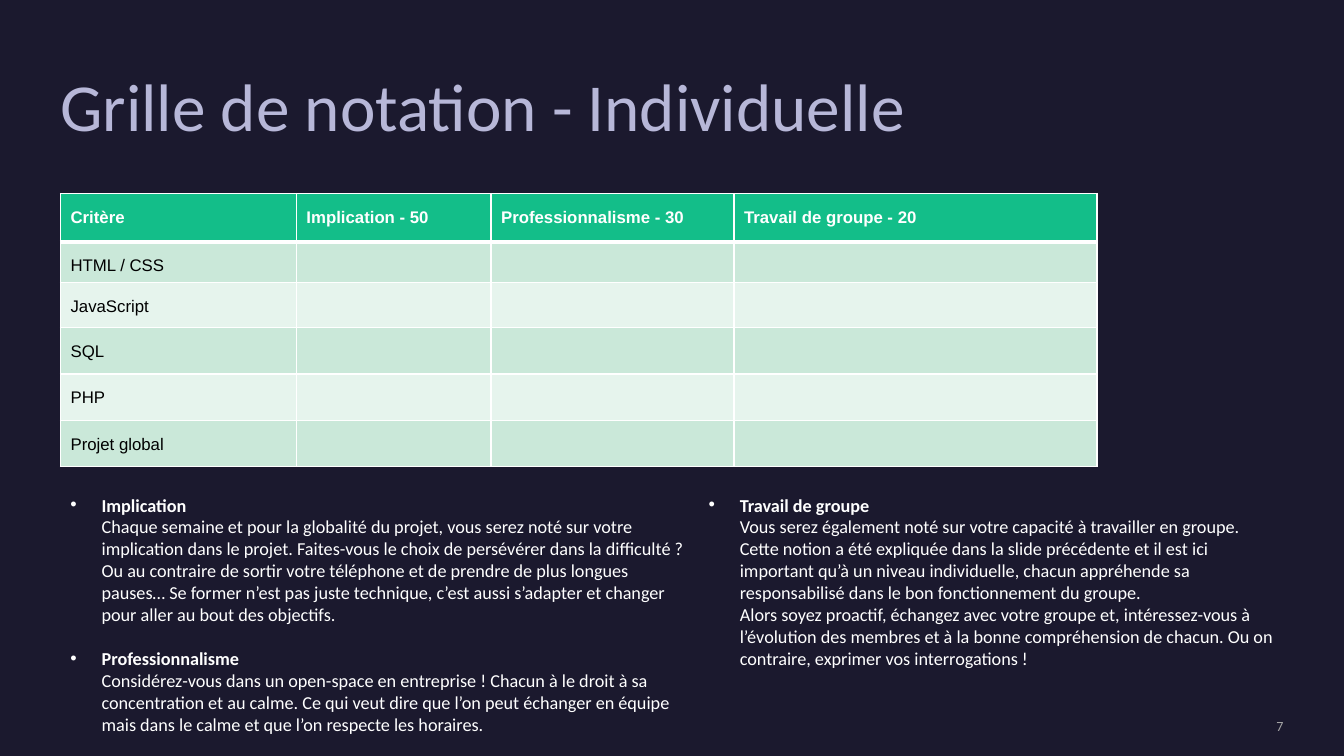
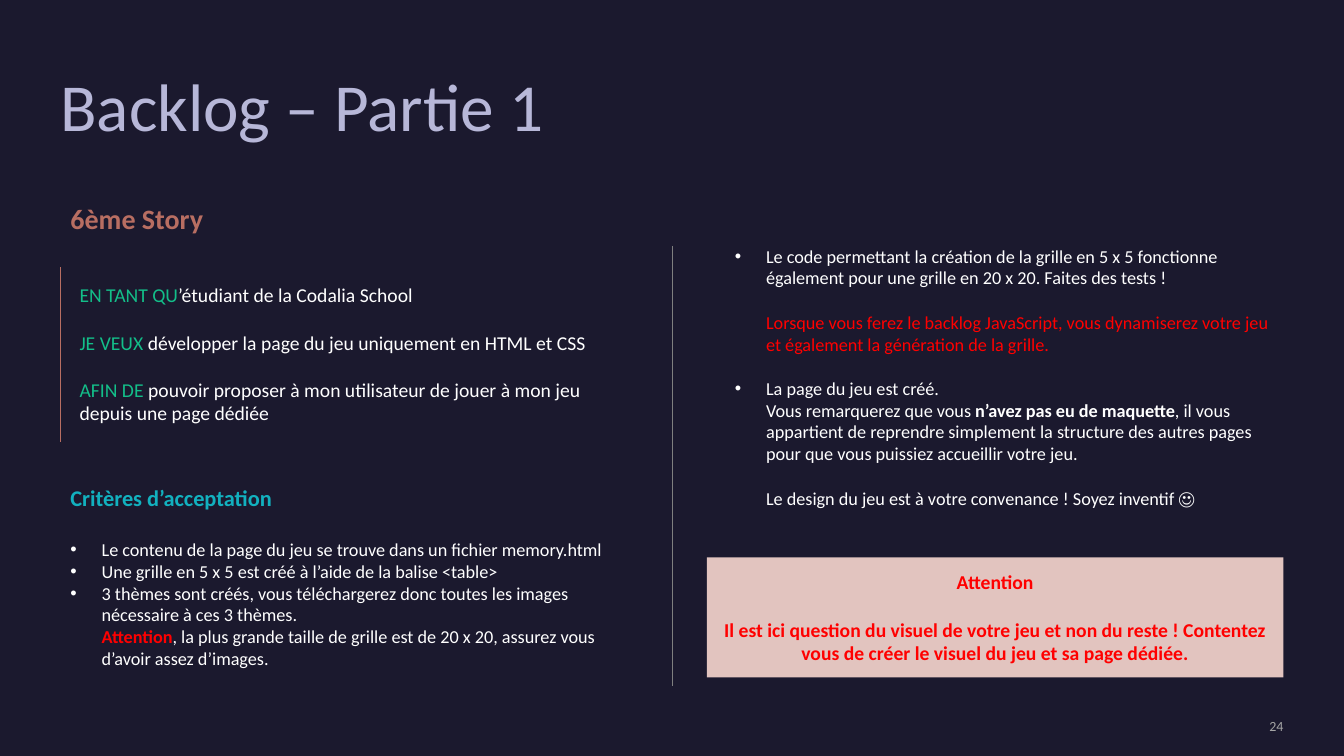
from lxml import etree
from pptx import Presentation
from pptx.dml.color import RGBColor
from pptx.enum.shapes import MSO_CONNECTOR, MSO_SHAPE
from pptx.enum.text import MSO_ANCHOR, PP_ALIGN
from pptx.oxml import parse_xml
from pptx.oxml.ns import nsdecls, qn
from pptx.util import Inches, Pt

HEX = {
    "night": "1B192E", "lilac": "B7B7D8", "gray": "A5A5A5", "rule": "7F7F7F",
    "white": "FFFFFF", "black": "000000", "green": "13BE89", "mint": "CAE8D9",
    "pale": "E6F4ED", "clay": "B86E62", "teal": "12B1BF", "red": "FF0000",
    "rose": "E2C4BF",
}
RGB = {name: RGBColor.from_string(code) for name, code in HEX.items()}
FONT = "Calibri"
HANG = 0.31


def add_box(slide, left, top, width, height, pad=True):
    """Add a wrapping text box and return its frame."""
    frame = slide.shapes.add_textbox(
        Inches(left), Inches(top), Inches(width), Inches(height)).text_frame
    frame.word_wrap = True
    if not pad:
        frame.margin_left = frame.margin_right = 0
        frame.margin_top = frame.margin_bottom = 0
    return frame


def write(frame, size, paras, align=PP_ALIGN.LEFT, font=FONT):
    """Each paragraph is (kind, space before, runs); a run is (text, colour, bold)."""
    for i, (kind, gap, runs) in enumerate(paras):
        para = frame.add_paragraph() if i else frame.paragraphs[0]
        para.alignment = align
        if gap:
            para.space_before = Pt(gap)
        if kind != "plain":
            props = para._p.get_or_add_pPr()
            props.set("marL", str(Inches(HANG)))
            props.set("indent", str(Inches(-HANG if kind == "bullet" else 0)))
        if kind == "bullet":
            for mark in (f'<a:buClr {nsdecls("a")}><a:srgbClr val="{HEX["white"]}"/></a:buClr>',
                         f'<a:buFont {nsdecls("a")} typeface="Arial"/>',
                         f'<a:buChar {nsdecls("a")} char="•"/>'):
                props.append(parse_xml(mark))
        for text, tint, bold in runs:
            run = para.add_run()
            run.text = text
            run.font.name = font
            run.font.size = Pt(size)
            run.font.bold = bold
            run.font.color.rgb = RGB[tint]


prs = Presentation()
prs.slide_width = Inches(13.33)
prs.slide_height = Inches(7.5)

# Shared background, title and page number
back = prs.slide_master.background.fill
back.solid()
back.fore_color.rgb = RGB["night"]
slides = []
for title, page in (("Grille de notation - Individuelle", "7"),
                    ("Backlog – Partie 1", "24")):
    slide = prs.slides.add_slide(prs.slide_layouts[6])
    head = add_box(slide, 0.6, 0.73, 9.84, 1, pad=False)
    write(head, 48, [("plain", 0, [(title, "lilac", False)])])
    head.paragraphs[0].line_spacing = 0.9
    foot = add_box(slide, 10.88, 7.12, 1.85, 0.17, pad=False)
    foot.vertical_anchor = MSO_ANCHOR.MIDDLE
    write(foot, 10, [("plain", 0, [(page, "gray", False)])], PP_ALIGN.RIGHT)
    slides.append(slide)
grid, story = slides

# Grading table
heads = ["Critère", "Implication - 50", "Professionnalisme - 30", "Travail de groupe - 20"]
topics = ["HTML / CSS", "JavaScript", "SQL", "PHP", "Projet global"]
widths = [2.34, 1.93, 2.41, 3.6]
heights = [0.48, 0.4, 0.45, 0.46, 0.46, 0.46]
rows = [heads] + [[topic, "", "", ""] for topic in topics]
table = grid.shapes.add_table(
    len(rows), len(heads), Inches(0.6), Inches(1.92),
    Inches(sum(widths)), Inches(sum(heights))).table
for col, width in zip(table.columns, widths):
    col.width = Inches(width)
for r, row in enumerate(rows):
    table.rows[r].height = Inches(heights[r])
    for c, text in enumerate(row):
        cell = table.cell(r, c)
        props = cell._tc.get_or_add_tcPr()
        for side in "LRTB":
            thick = (r, side) in ((0, "B"), (1, "T"))
            edge = etree.SubElement(props, qn(f"a:ln{side}"), w=str(Pt(3 if thick else 1)))
            paint = etree.SubElement(edge, qn("a:solidFill"))
            etree.SubElement(paint, qn("a:srgbClr"), val=HEX["white"])
        cell.fill.solid()
        cell.fill.fore_color.rgb = RGB["green" if r == 0 else "mint" if r % 2 else "pale"]
        if text:
            tint = "black" if r else "white"
            write(cell.text_frame, 12, [("plain", 0, [(text, tint, r == 0)])], font="Arial")
            cell.text_frame.paragraphs[0].line_spacing = 1.5

# Criteria explained under the table
write(add_box(grid, 0.6, 4.85, 6.33, 2.5), 13, [
    ("bullet", 0, [("Implication", "white", True)]),
    ("hang", 0, [("Chaque semaine et pour la globalité du projet, vous serez noté sur votre "
                  "implication dans le projet. Faites-vous le choix de persévérer dans la "
                  "difficulté ? Ou au contraire de sortir votre téléphone et de prendre de plus "
                  "longues pauses… Se former n’est pas juste technique, c’est aussi s’adapter et "
                  "changer pour aller au bout des objectifs.", "white", False)]),
    ("bullet", 16, [("Professionnalisme", "white", True)]),
    ("hang", 0, [("Considérez-vous dans un open-space en entreprise ! Chacun à le droit à sa "
                  "concentration et au calme. Ce qui veut dire que l’on peut échanger en équipe "
                  "mais dans le calme et que l’on respecte les horaires.", "white", False)]),
])
write(add_box(grid, 6.93, 4.85, 5.8, 2.07), 13, [
    ("bullet", 0, [("Travail de groupe", "white", True)]),
    ("hang", 0, [("Vous serez également noté sur votre capacité à travailler en groupe. Cette "
                  "notion a été expliquée dans la slide précédente et il est ici important qu’à "
                  "un niveau individuelle, chacun appréhende sa responsabilisé dans le bon "
                  "fonctionnement du groupe.", "white", False)]),
    ("hang", 0, [("Alors soyez proactif, échangez avec votre groupe et, intéressez-vous à "
                  "l’évolution des membres et à la bonne compréhension de chacun. Ou on "
                  "contraire, exprimer vos interrogations !", "white", False)]),
])

# Story heading and text
write(add_box(story, 0.6, 1.95, 6.41, 0.44), 20,
      [("plain", 0, [("6ème Story", "clay", True)])])
write(add_box(story, 0.69, 2.76, 5.58, 1.51), 14, [
    ("plain", 0, [("EN TANT QU", "green", False),
                  ("’étudiant de la Codalia School", "white", False)]),
    ("plain", 17, [("JE VEUX ", "green", False),
                   ("développer la page du jeu uniquement en HTML et CSS", "white", False)]),
    ("plain", 17, [("AFIN DE ", "green", False),
                   ("pouvoir proposer à mon utilisateur de jouer à mon jeu depuis une page "
                    "dédiée", "white", False)]),
])

# Side rule and column divider
for x, top, end, tint, weight in ((0.6, 2.65, 4.39, "clay", 1),
                                  (6.67, 2.44, 6.81, "rule", 0.75)):
    line = story.shapes.add_connector(
        MSO_CONNECTOR.STRAIGHT, Inches(x), Inches(top), Inches(x), Inches(end))
    line.line.color.rgb = RGB[tint]
    line.line.width = Pt(weight)
    etree.SubElement(line._element.spPr, qn("a:effectLst"))

# Acceptance criteria, left then right
write(add_box(story, 0.6, 4.75, 5.67, 0.4), 16,
      [("plain", 0, [("Critères d’acceptation", "teal", True)])])
write(add_box(story, 0.6, 5.29, 5.67, 1.6), 13, [
    ("bullet", 0, [("Le contenu de la page du jeu se trouve dans un fichier memory.html",
                    "white", False)]),
    ("bullet", 0, [("Une grille en 5 x 5 est créé à l’aide de la balise <table>",
                    "white", False)]),
    ("bullet", 0, [("3 thèmes sont créés, vous téléchargerez donc toutes les images nécessaire "
                    "à ces 3 thèmes.", "white", False)]),
    ("hang", 0, [("Attention", "red", True),
                 (", la plus grande taille de grille est de 20 x 20, assurez vous d’avoir assez "
                  "d’images.", "white", False)]),
])
write(add_box(story, 7.19, 2.38, 5.67, 2.73), 13, [
    ("bullet", 0, [("Le code permettant la création de la grille en 5 x 5 fonctionne également "
                    "pour une grille en 20 x 20. Faites des tests !", "white", False)]),
    ("hang", 16, [("Lorsque vous ferez le backlog JavaScript, vous dynamiserez votre jeu et "
                   "également la génération de la grille.", "red", False)]),
    ("bullet", 16, [("La page du jeu est créé.", "white", False)]),
    ("hang", 0, [("Vous remarquerez que vous ", "white", False),
                 ("n’avez pas eu de maquette", "white", True),
                 (", il vous appartient de reprendre simplement la structure des autres pages "
                  "pour que vous puissiez accueillir votre jeu.", "white", False)]),
    ("hang", 16, [("Le design du jeu est à votre convenance ! Soyez inventif ☺",
                   "white", False)]),
])

# Warning panel
panel = story.shapes.add_shape(
    MSO_SHAPE.RECTANGLE, Inches(7.01), Inches(5.53), Inches(5.72), Inches(1.19))
panel.shadow.inherit = False
panel.fill.solid()
panel.fill.fore_color.rgb = RGB["rose"]
panel.line.fill.background()
panel.text_frame.word_wrap = True
panel.text_frame.vertical_anchor = MSO_ANCHOR.MIDDLE
write(panel.text_frame, 14, [
    ("plain", 0, [("Attention", "red", True)]),
    ("plain", 17, [("Il est ici question du visuel de votre jeu et non du reste ! Contentez vous "
                    "de créer le visuel du jeu et sa page dédiée.", "red", True)]),
], PP_ALIGN.CENTER)

prs.save("out.pptx")
